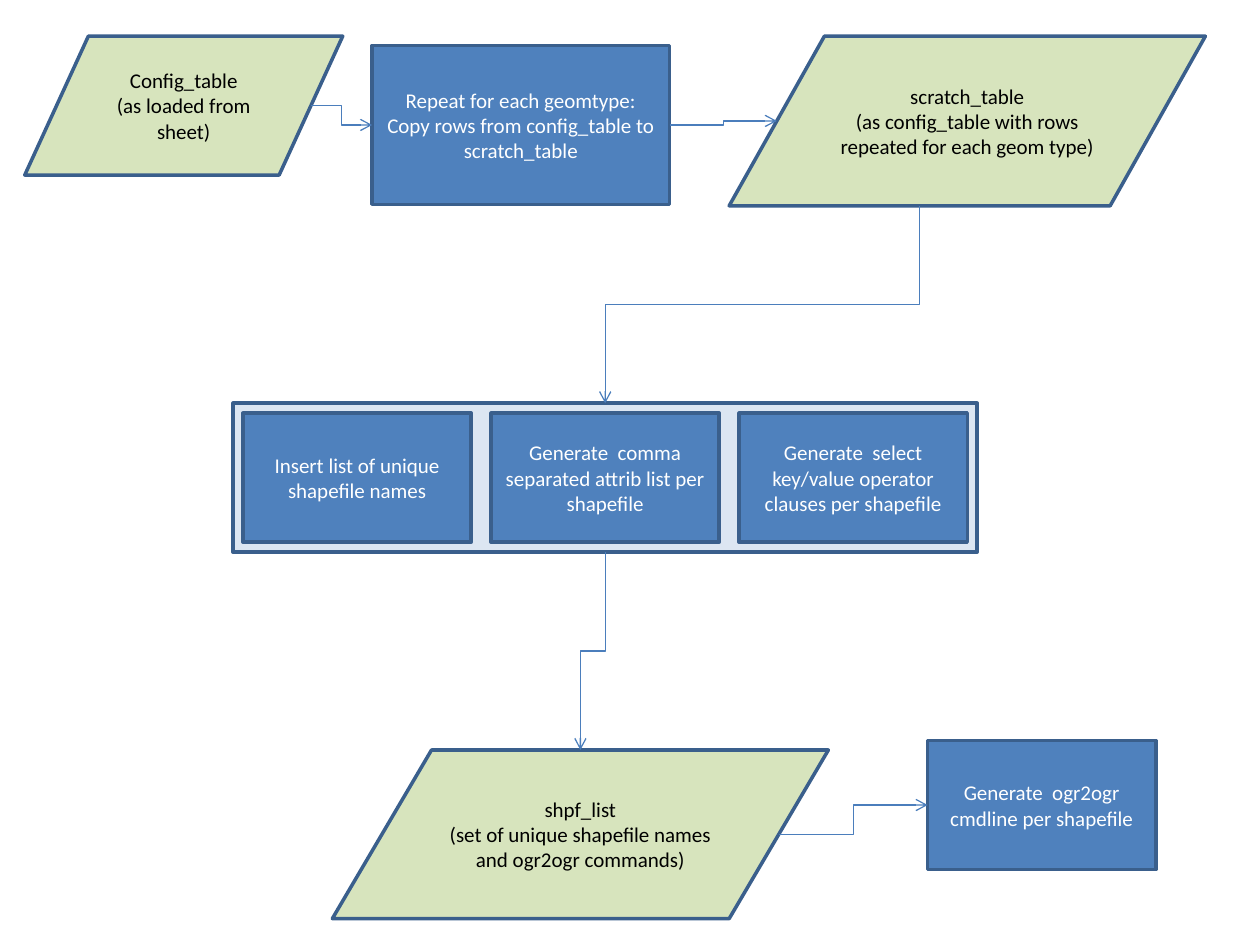
"""Build a flowchart of how a config table becomes a list of shapefile commands."""
from lxml.etree import SubElement
from pptx import Presentation
from pptx.dml.color import RGBColor
from pptx.enum.shapes import MSO_CONNECTOR, MSO_SHAPE
from pptx.enum.text import MSO_ANCHOR, PP_ALIGN
from pptx.oxml.ns import qn
from pptx.util import Cm, Pt

GREEN = RGBColor(0xD7, 0xE4, 0xBD)
BLUE = RGBColor(0x4F, 0x81, 0xBD)
PALE_BLUE = RGBColor(0xDC, 0xE6, 0xF2)
OUTLINE = RGBColor(0x3A, 0x5F, 0x8C)
ARROW = RGBColor(0x4B, 0x7E, 0xBC)
BLACK = RGBColor(0, 0, 0)
WHITE = RGBColor(0xFF, 0xFF, 0xFF)

STEP_WIDTH, STEP_HEIGHT = 4.6, 2.6
STEP_PITCH = 5.0
STEPS = (
    "Insert list of unique shapefile names",
    "Generate  comma separated attrib list per shapefile",
    "Generate  select key/value operator clauses per shapefile",
)


def add_box(shapes, kind, box, fill, text="", color=WHITE):
    node = shapes.add_shape(kind, *map(Cm, box))
    node.shadow.inherit = False
    node.fill.solid()
    node.fill.fore_color.rgb = fill
    node.line.color.rgb = OUTLINE
    node.line.width = Pt(2)
    frame = node.text_frame
    frame.word_wrap = True
    frame.vertical_anchor = MSO_ANCHOR.MIDDLE
    frame.text = text
    for paragraph in frame.paragraphs:
        paragraph.alignment = PP_ALIGN.CENTER
        for run in paragraph.runs:
            run.font.size = Pt(12)
            run.font.name = "Calibri"
            run.font.color.rgb = color
    return node


def add_data(shapes, box, text):
    return add_box(shapes, MSO_SHAPE.FLOWCHART_DATA, box, GREEN, text, BLACK)


def add_process(shapes, box, text):
    return add_box(shapes, MSO_SHAPE.FLOWCHART_PROCESS, box, BLUE, text)


def add_step_group(shapes, left, top):
    group = shapes.add_group_shape().shapes
    frame = add_box(group, MSO_SHAPE.RECTANGLE, (left, top, 15, 3), PALE_BLUE)
    for index, text in enumerate(STEPS):
        step_left = left + 0.2 + index * STEP_PITCH
        add_process(group, (step_left, top + 0.2, STEP_WIDTH, STEP_HEIGHT), text)
    return frame


def point_on(node, across, down):
    return (round(node.left + across * node.width),
            round(node.top + down * node.height))


def add_arrow(shapes, start, end, downward=False):
    (x1, y1), (x2, y2) = start, end
    if downward:
        mid_x, mid_y = (x1 + x2) // 2, (y1 + y2) // 2
        half_run, half_rise = (y2 - y1) // 2, (x1 - x2) // 2
        x1, x2 = mid_x - half_run, mid_x + half_run
        y1, y2 = mid_y - half_rise, mid_y + half_rise
    arrow = shapes.add_connector(MSO_CONNECTOR.ELBOW, x1, y1, x2, y2)
    arrow.line.color.rgb = ARROW
    arrow.line.width = Pt(0.75)
    properties = arrow._element.spPr
    if downward:
        properties.find(qn("a:xfrm")).set("rot", "5400000")
    SubElement(properties.find(qn("a:ln")), qn("a:tailEnd"), type="arrow")
    SubElement(properties, qn("a:effectLst"))


def main():
    presentation = Presentation()
    presentation.slide_width, presentation.slide_height = Cm(25.4), Cm(19.05)
    slide = presentation.slides.add_slide(presentation.slide_layouts[6])
    shapes = slide.shapes

    config_table = add_data(shapes, (0.5, 0.73, 6.41, 2.8),
                            "Config_table\n(as loaded from sheet)")
    scratch_table = add_data(
        shapes, (14.7, 0.73, 9.6, 3.42),
        "scratch_table\n(as config_table with rows repeated for each geom type)")
    shpf_list = add_data(
        shapes, (6.7, 15.12, 10, 3.4),
        "shpf_list\n(set of unique shapefile names and ogr2ogr commands)")
    copy_rows = add_process(
        shapes, (7.5, 0.92, 6, 3.2),
        "Repeat for each geomtype:\nCopy rows from config_table to scratch_table")
    steps = add_step_group(shapes, 4.7, 8.13)
    command_line = add_process(shapes, (18.7, 14.93, STEP_WIDTH, STEP_HEIGHT),
                               "Generate  ogr2ogr cmdline per shapefile")

    add_arrow(shapes, point_on(config_table, 0.9, 0.5), point_on(copy_rows, 0, 0.5))
    add_arrow(shapes, point_on(copy_rows, 1, 0.5), point_on(scratch_table, 0.1, 0.5))
    add_arrow(shapes, point_on(scratch_table, 0.4, 1), point_on(steps, 0.5, 0), True)
    add_arrow(shapes, point_on(steps, 0.5, 1), point_on(shpf_list, 0.5, 0), True)
    add_arrow(shapes, point_on(shpf_list, 0.9, 0.5), point_on(command_line, 0, 0.5))

    presentation.save("out.pptx")


if __name__ == "__main__":
    main()
